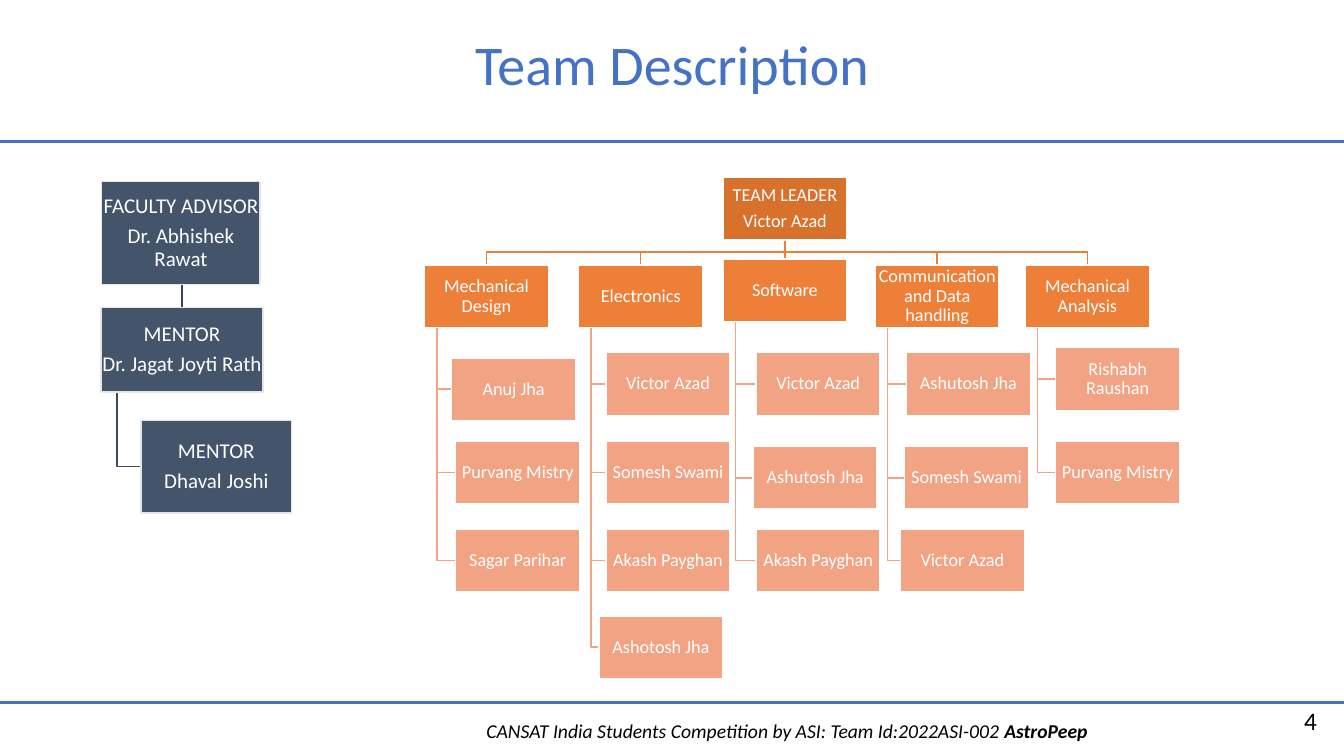
from lxml import etree
from pptx import Presentation
from pptx.dml.color import RGBColor
from pptx.enum.shapes import MSO_CONNECTOR as Connector, MSO_SHAPE as Shape
from pptx.enum.text import MSO_ANCHOR as Anchor, PP_ALIGN as Align
from pptx.oxml.ns import qn
from pptx.util import Inches, Pt

FONT = "Calibri"
BLUE, WHITE, BLACK = "4472C4", "FFFFFF", "000000"
LEADER_FILL, HEAD_FILL, MEMBER_FILL = "D7712C", "ED7F39", "F1A383"
STAFF_FILL, STAFF_EDGE = "44546A", "E7E6E6"
CARD_W, CARD_H = 1.23, 0.62
TRUNK = 0.1  # branch lines hang from this share of a card's width

# Subsystem: left, top, name, members as (left, top, name)
SUBSYSTEMS = [
    (4.21, 2.63, "Mechanical Design",
     [(4.48, 3.55, "Anuj Jha"), (4.52, 4.38, "Purvang Mistry"),
      (4.52, 5.25, "Sagar Parihar")]),
    (5.74, 2.63, "Electronics",
     [(6.01, 3.5, "Victor Azad"), (6.01, 4.38, "Somesh Swami"),
      (6.01, 5.25, "Akash Payghan"), (5.94, 6.11, "Ashotosh Jha")]),
    (7.17, 2.57, "Software",
     [(7.5, 3.5, "Victor Azad"), (7.47, 4.43, "Ashutosh Jha"),
      (7.5, 5.25, "Akash Payghan")]),
    (8.68, 2.63, "Communication and Data handling",
     [(8.99, 3.5, "Ashutosh Jha"), (8.97, 4.43, "Somesh Swami"),
      (8.93, 5.25, "Victor Azad")]),
    (10.17, 2.63, "Mechanical Analysis",
     [(10.47, 3.45, "Rishabh Raushan"), (10.47, 4.38, "Purvang Mistry")]),
]


def color(hex_code):
    return RGBColor.from_string(hex_code)


def add_run(paragraph, text, size, hex_code, bold=False, italic=False):
    run = paragraph.add_run()
    run.text = text
    font = run.font
    font.name, font.size = FONT, Pt(size)
    font.bold, font.italic = bold, italic
    font.color.rgb = color(hex_code)


def add_line(slide, start, end, hex_code, weight):
    line = slide.shapes.add_connector(
        Connector.STRAIGHT, *[Inches(v) for v in (*start, *end)])
    line.line.color.rgb = color(hex_code)
    line.line.width = Pt(weight)
    etree.SubElement(line._element.spPr, qn("a:effectLst"))


def add_branch(slide, points, hex_code):
    """Draw an open bent line through the points."""
    if len(points) == 2:
        add_line(slide, *points, hex_code, 1)
        return
    start, *bends = [(Inches(x), Inches(y)) for x, y in points]
    builder = slide.shapes.build_freeform(*start)
    builder.add_line_segments(bends, close=False)
    branch = builder.convert_to_shape()
    branch.shadow.inherit = False
    branch.fill.background()
    branch.line.color.rgb = color(hex_code)
    branch.line.width = Pt(1)


def add_card(slide, box, texts, fill, edge=WHITE, size=13):
    card = slide.shapes.add_shape(Shape.RECTANGLE, *[Inches(v) for v in box])
    card.shadow.inherit = False
    card.fill.solid()
    card.fill.fore_color.rgb = color(fill)
    card.line.color.rgb = color(edge)
    card.line.width = Pt(1)
    frame = card.text_frame
    frame.word_wrap = True
    frame.vertical_anchor = Anchor.MIDDLE
    frame.margin_left = frame.margin_right = Inches(0.01)
    frame.margin_top = frame.margin_bottom = Inches(0.01)
    for i, text in enumerate(texts):
        paragraph = frame.add_paragraph() if i else frame.paragraphs[0]
        paragraph.alignment = Align.CENTER
        paragraph.line_spacing = 0.9
        if i < len(texts) - 1:
            paragraph.space_after = Pt(0.35 * size)
        add_run(paragraph, text, size, WHITE)


def add_label(slide, box, alignment):
    frame = slide.shapes.add_textbox(*[Inches(v) for v in box]).text_frame
    frame.word_wrap = True
    frame.paragraphs[0].alignment = alignment
    return frame.paragraphs[0]


def add_title(slide, box):
    title = slide.shapes.title
    title.left, title.top, title.width, title.height = [Inches(v) for v in box]
    title.text_frame.vertical_anchor = Anchor.MIDDLE
    paragraph = title.text_frame.paragraphs[0]
    paragraph.alignment = Align.CENTER
    add_run(paragraph, "Team Description", 40, BLUE)


def add_frame(slide, width):
    """Rules across the slide, footer and page number."""
    for y in (1.4, 6.97):
        add_line(slide, (0, y), (width, y), BLUE, 2)
    footer = add_label(slide, (4.68, 7.08, 6.25, 0.34), Align.CENTER)
    add_run(footer, "CANSAT India Students Competition by ASI: Team Id:2022ASI-002 ",
            14, BLACK, italic=True)
    add_run(footer, "AstroPeep", 14, BLACK, bold=True, italic=True)
    number = add_label(slide, (10.16, 6.95, 3, 0.4), Align.RIGHT)
    add_run(number, "4", 18, BLACK)


def add_subsystem(slide, left, top, name, members):
    trunk_x, bottom = left + TRUNK * CARD_W, top + CARD_H
    for x, y, _ in members:
        middle = y + CARD_H / 2
        add_branch(slide, [(trunk_x, bottom), (trunk_x, middle), (x, middle)],
                   MEMBER_FILL)
    add_card(slide, (left, top, CARD_W, CARD_H), [name], HEAD_FILL)
    for x, y, member in members:
        add_card(slide, (x, y, CARD_W, CARD_H), [member], MEMBER_FILL)


def add_team(slide, left, top):
    """Leader card at the given corner, subsystems hanging below."""
    center, bottom, rail_y = left + CARD_W / 2, top + CARD_H, 2.5
    for head_left, head_top, _, _ in SUBSYSTEMS:
        head_center = head_left + CARD_W / 2
        if head_center == center:
            points = [(center, bottom), (center, head_top)]
        else:
            points = [(center, bottom), (center, rail_y),
                      (head_center, rail_y), (head_center, head_top)]
        add_branch(slide, points, HEAD_FILL)
    add_card(slide, (left, top, CARD_W, CARD_H),
             ["TEAM LEADER", "Victor Azad"], LEADER_FILL)
    for subsystem in SUBSYSTEMS:
        add_subsystem(slide, *subsystem)


def add_staff(slide, left, top):
    """Advisor and mentors, stacked from the given corner."""
    advisor = (left + 0.01, top, 1.57, 1.02)
    mentor = (left, top + 1.25, 1.61, 0.84)
    second_mentor = (left + 0.4, top + 2.37, 1.49, 0.92)
    center = left + mentor[2] / 2
    add_branch(slide, [(center, top + advisor[3]), (center, mentor[1])], "364355")
    trunk_x = left + TRUNK * mentor[2]
    middle = second_mentor[1] + second_mentor[3] / 2
    add_branch(slide, [(trunk_x, mentor[1] + mentor[3]), (trunk_x, middle),
                       (second_mentor[0], middle)], "3E4C60")
    for box, role, person in [
        (advisor, "FACULTY ADVISOR", "Dr. Abhishek Rawat"),
        (mentor, "MENTOR", "Dr. Jagat Joyti Rath"),
        (second_mentor, "MENTOR", "Dhaval Joshi"),
    ]:
        add_card(slide, box, [role, person], STAFF_FILL, STAFF_EDGE, 15)


def main():
    deck = Presentation()
    deck.slide_width, deck.slide_height = Inches(13.33), Inches(7.5)
    slide = deck.slides.add_slide(deck.slide_layouts[5])
    add_title(slide, (4.19, 0.24, 4.95, 0.77))
    add_frame(slide, 13.33)
    add_team(slide, 7.17, 1.76)
    add_staff(slide, 1, 1.8)
    deck.save("out.pptx")


if __name__ == "__main__":
    main()
